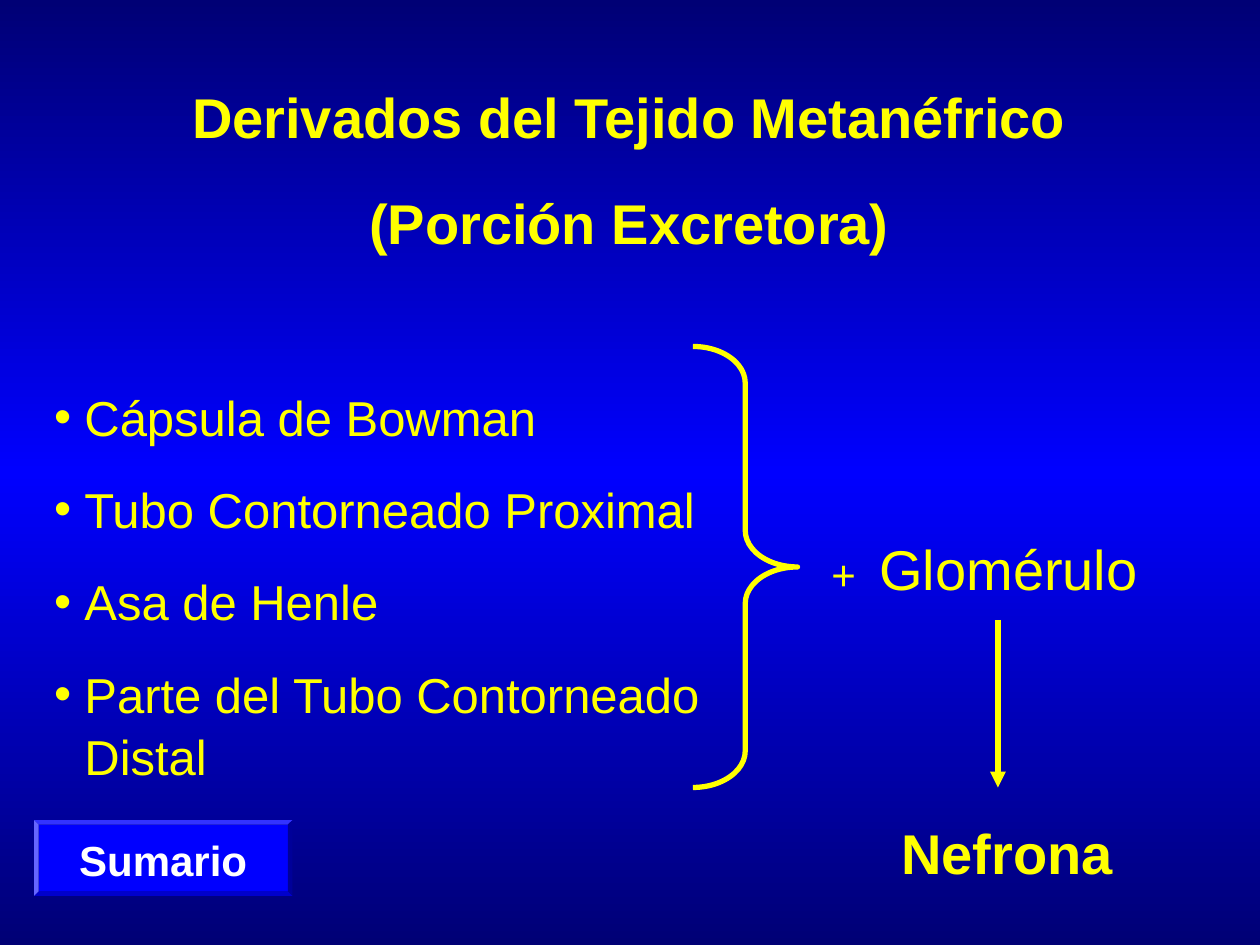
from copy import deepcopy

from lxml import etree
from pptx import Presentation
from pptx.dml.color import RGBColor
from pptx.enum import shapes, text
from pptx.oxml.ns import qn
from pptx.util import Inches, Pt

YELLOW, WHITE, BLUE, NAVY = "FFFF00", "FFFFFF", "0000FF", "000075"
LEFT, CENTER = text.PP_ALIGN.LEFT, text.PP_ALIGN.CENTER


def color(value):
    return RGBColor.from_string(value)


def inches(box):
    return [Inches(length) for length in box]


def place(shape, box):
    shape.left, shape.top, shape.width, shape.height = inches(box)
    return shape


def add_span(para, words, size, shade=YELLOW, bold=False):
    span = para.add_run()
    span.text = words
    span.font.color.rgb = color(shade)
    values = {"name": "Arial", "size": Pt(size), "bold": bold}
    for name, value in values.items():
        setattr(span.font, name, value)


def start_para(frame, index=0, gap=0, align=LEFT):
    para = frame.add_paragraph() if index else frame.paragraphs[0]
    values = {"alignment": align, "line_spacing": 1.05,
              "space_before": Pt(gap if index else 0)}
    for name, value in values.items():
        setattr(para, name, value)
    return para


def format_frame(frame, anchor=text.MSO_ANCHOR.TOP):
    values = {"word_wrap": True, "auto_size": text.MSO_AUTO_SIZE.NONE,
              "vertical_anchor": anchor}
    for name, value in values.items():
        setattr(frame, name, value)
    return frame


def add_label(page, box):
    return format_frame(page.shapes.add_textbox(*inches(box)).text_frame)


def paint_background(page):
    fill = page.background.fill
    fill.gradient()
    fill.gradient_angle = 270
    stops = next(page._element.iter(qn("a:gsLst")))
    stops.insert(1, deepcopy(stops[0]))
    for stop, place_on_page, shade in zip(fill.gradient_stops, (0, 0.5, 1), (NAVY, BLUE, NAVY)):
        stop.position = place_on_page
        stop.color.rgb = color(shade)


def fill_title(page, box, lines):
    frame = format_frame(place(page.shapes.title, box).text_frame)
    for index, line in enumerate(lines):
        add_span(start_para(frame, index, 20, CENTER), line, 32, bold=True)


def fill_list(page, box, items):
    frame = format_frame(place(page.placeholders[1], box).text_frame)
    for index, item in enumerate(items):
        para = start_para(frame, index, 17.5)
        props = para._p.get_or_add_pPr()
        props.set("marL", str(Inches(0.24)))
        props.set("indent", str(-Inches(0.24)))
        bullet_color = etree.SubElement(props, qn("a:buClr"))
        etree.SubElement(bullet_color, qn("a:srgbClr"), val=YELLOW)
        etree.SubElement(props, qn("a:buFont"), typeface="Arial")
        etree.SubElement(props, qn("a:buChar"), char="•")
        add_span(para, item, 28)


def add_brace(page, box):
    brace = page.shapes.add_shape(shapes.MSO_SHAPE.RIGHT_BRACE, *inches(box))
    brace.adjustments[0] = 0.35
    brace.shadow.inherit = False
    brace.fill.background()
    brace.line.color.rgb = color(YELLOW)
    brace.line.width = Pt(3)


def add_result(page, box):
    """Glomerulus on top, an arrow down, and the nephron below."""
    left, top, width, height = box
    label_height = 0.64

    # Added part, with a tab stop after the plus sign
    para = start_para(add_label(page, (left, top, width, label_height)))
    tabs = etree.SubElement(para._p.get_or_add_pPr(), qn("a:tabLst"))
    etree.SubElement(tabs, qn("a:tab"), pos=str(Inches(0.38)), algn="l")
    add_span(para, "+\t", 24)
    add_span(para, "Glomérulo", 32)

    # Arrow
    middle = left + 1.42
    arrow = page.shapes.add_connector(
        shapes.MSO_CONNECTOR.STRAIGHT,
        *inches((middle, top + 0.75, middle, top + 2.08)))
    arrow.line.color.rgb = color(YELLOW)
    arrow.line.width = Pt(3)
    etree.SubElement(arrow.line._get_or_add_ln(), qn("a:tailEnd"), type="triangle")
    etree.SubElement(arrow._element.spPr, qn("a:effectLst"))

    # Outcome
    outcome = (left + 0.08, top + height - label_height, 2.83, label_height)
    add_span(start_para(add_label(page, outcome), align=CENTER), "Nefrona", 32, bold=True)


def add_button(page, box, words):
    button = page.shapes.add_shape(shapes.MSO_SHAPE.BEVEL, *inches(box))
    button.adjustments[0] = 0.06
    button.shadow.inherit = False
    button.fill.solid()
    button.fill.fore_color.rgb = color(BLUE)
    button.line.fill.background()
    frame = format_frame(button.text_frame, text.MSO_ANCHOR.MIDDLE)
    frame.word_wrap = False
    add_span(start_para(frame, align=CENTER), words, 24, WHITE, True)


def main():
    deck = Presentation()
    deck.slide_width, deck.slide_height = Inches(10), Inches(7.5)
    page = deck.slides.add_slide(deck.slide_layouts[1])
    paint_background(page)
    fill_title(page, (0.58, 0.58, 8.83, 1.45),
               ["Derivados del Tejido Metanéfrico", "(Porción Excretora)"])
    fill_list(page, (0.33, 3, 5.37, 3.17),
              ["Cápsula de Bowman", "Tubo Contorneado Proximal",
               "Asa de Henle", "Parte del Tubo Contorneado Distal"])
    add_brace(page, (5.5, 2.75, 0.83, 3.5))
    add_result(page, (6.5, 4.17, 3, 2.89))
    add_button(page, (0.27, 6.51, 2.05, 0.6), "Sumario")
    deck.save("out.pptx")


if __name__ == "__main__":
    main()
